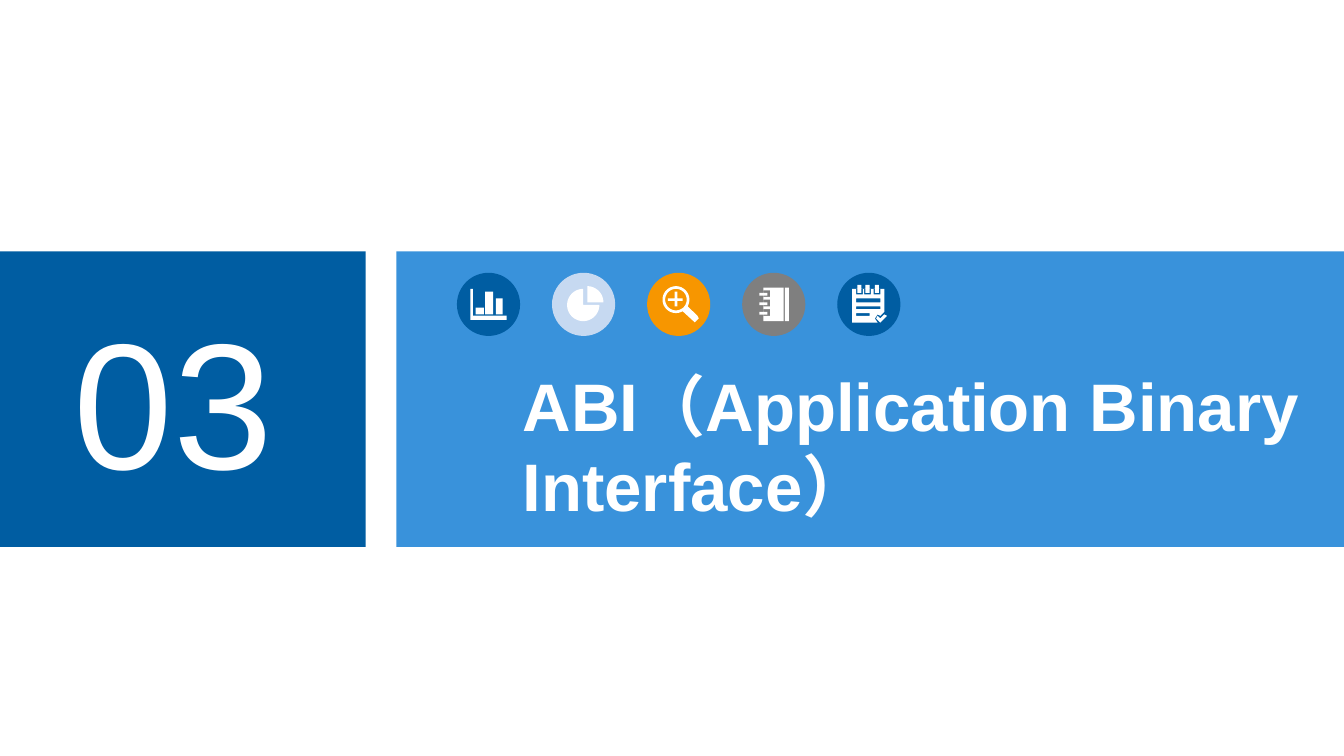
import math

import pptx
import pptx.util
import pptx.dml.color
import pptx.enum.shapes
import pptx.enum.text

Inches = pptx.util.Inches
Shape = pptx.enum.shapes.MSO_SHAPE

WHITE = "FFFFFF"
NAVY = "005DA2"
BLUE = "3992DB"
PALE = "C6D9F1"
ORANGE = "F79600"
GREY = "7F7F7F"

deck = pptx.Presentation()
deck.slide_width = Inches(10)
deck.slide_height = Inches(10 * 9 / 16)
page = deck.slides.add_slide(deck.slide_layouts[6])


def paint(shape, color):
    """Give a shape a flat fill without line or shadow."""
    shape.shadow.inherit = False
    shape.fill.solid()
    shape.fill.fore_color.rgb = pptx.dml.color.RGBColor.from_string(color)
    shape.line.fill.background()


def arc(x, y, radius, start=0, end=360):
    """Points of an arc, clockwise in degrees from the right."""
    return [(x + radius * math.cos(math.radians(angle)),
             y + radius * math.sin(math.radians(angle)))
            for angle in range(start, end + 1, 6)]


# Bands
for left, width, color in [(2.95, 7.09, BLUE), (0, 2.72, NAVY)]:
    band = page.shapes.add_shape(
        Shape.RECTANGLE, Inches(left), Inches(1.87), Inches(width), Inches(2.2))
    paint(band, color)

# Section number and title
for text, left, top, width, height, size, bold, wrap in [
    ("03", 0.45, 2.11, 1.7, 1.72, 96, False, False),
    ("ABI（Application Binary Interface）", 3.79, 2.66, 6.21, 1.31, 36, True, True),
]:
    box = page.shapes.add_textbox(
        Inches(left), Inches(top), Inches(width), Inches(height))
    box.text_frame.text = text
    box.text_frame.word_wrap = wrap
    box.text_frame.auto_size = pptx.enum.text.MSO_AUTO_SIZE.SHAPE_TO_FIT_TEXT
    span = box.text_frame.paragraphs[0].runs[0]
    span.font.name = "Arial"
    span.font.size = pptx.util.Pt(size)
    span.font.bold = bold
    span.font.color.rgb = pptx.dml.color.RGBColor.from_string(WHITE)

# Icon outlines: bars are (left, top, right, bottom), curves are point lists.
# A contour inside another one cuts a hole.
notepad_bars = [(6.37, 2.22, 6.55, 2.25), (6.37, 2.28, 6.55, 2.3),
                (6.37, 2.33, 6.47, 2.35)]
for left in [6.37, 6.43, 6.5]:
    notepad_bars += [(left, 2.15, left + 0.05, 2.19),
                     (left + 0.01, 2.12, left + 0.04, 2.18)]
notepad_curves = [
    [(6.34, 2.15), (6.58, 2.15), (6.58, 2.32), (6.55, 2.35), (6.53, 2.34),
     (6.51, 2.37), (6.53, 2.4), (6.34, 2.4)],
    [(6.52, 2.37), (6.53, 2.35), (6.55, 2.37), (6.58, 2.34), (6.6, 2.35),
     (6.55, 2.4)],
]

magnifier_bars = [(4.97, 2.22, 5.08, 2.24), (5.02, 2.17, 5.04, 2.22),
                  (5.02, 2.24, 5.04, 2.28)]
handle = [(5.19, 2.35), (5.2, 2.37), (5.17, 2.4), (5.16, 2.39)]
magnifier_curves = [arc(5.03, 2.23, 0.1, 60, 390) + handle, arc(5.03, 2.23, 0.08)]

notebook_bars = [(5.68, 2.14, 5.83, 2.39), (5.84, 2.14, 5.87, 2.39)]
for index in range(3):
    top = 2.16 + index * 0.07
    notebook_bars += [(5.68, top, 5.73, top + 0.05),
                      (5.65, top + 0.02, 5.71, top + 0.04)]

chart_bars = [(3.54, 2.29, 3.6, 2.34), (3.61, 2.17, 3.67, 2.34),
              (3.69, 2.22, 3.74, 2.34)]
chart_axes = [[(3.5, 2.15), (3.52, 2.15), (3.52, 2.35), (3.77, 2.35),
               (3.77, 2.38), (3.5, 2.38)]]

pie_curves = [arc(4.34, 2.27, 0.12, 0, 270) + [(4.34, 2.27)],
              arc(4.37, 2.25, 0.12, 270, 360) + [(4.37, 2.25)]]

disc_step = (6.23 - 3.4) / 4
for position, color, bars, curves in [
    (4, NAVY, notepad_bars, notepad_curves),
    (2, ORANGE, magnifier_bars, magnifier_curves),
    (3, GREY, notebook_bars, []),
    (0, NAVY, chart_bars, chart_axes),
    (1, PALE, [], pie_curves),
]:
    icon = page.shapes.add_group_shape()
    disc = icon.shapes.add_shape(
        Shape.OVAL, Inches(3.4 + position * disc_step), Inches(2.03),
        Inches(0.47), Inches(0.47))
    paint(disc, color)
    contours = curves + [
        [(left, top), (right, top), (right, bottom), (left, bottom)]
        for left, top, right, bottom in bars]
    contours = [[(Inches(x), Inches(y)) for x, y in points] for points in contours]
    builder = icon.shapes.build_freeform(*contours[0][0])
    builder.add_line_segments(contours[0][1:])
    for points in contours[1:]:
        builder.move_to(*points[0])
        builder.add_line_segments(points[1:])
    paint(builder.convert_to_shape(), WHITE)

deck.save("out.pptx")
